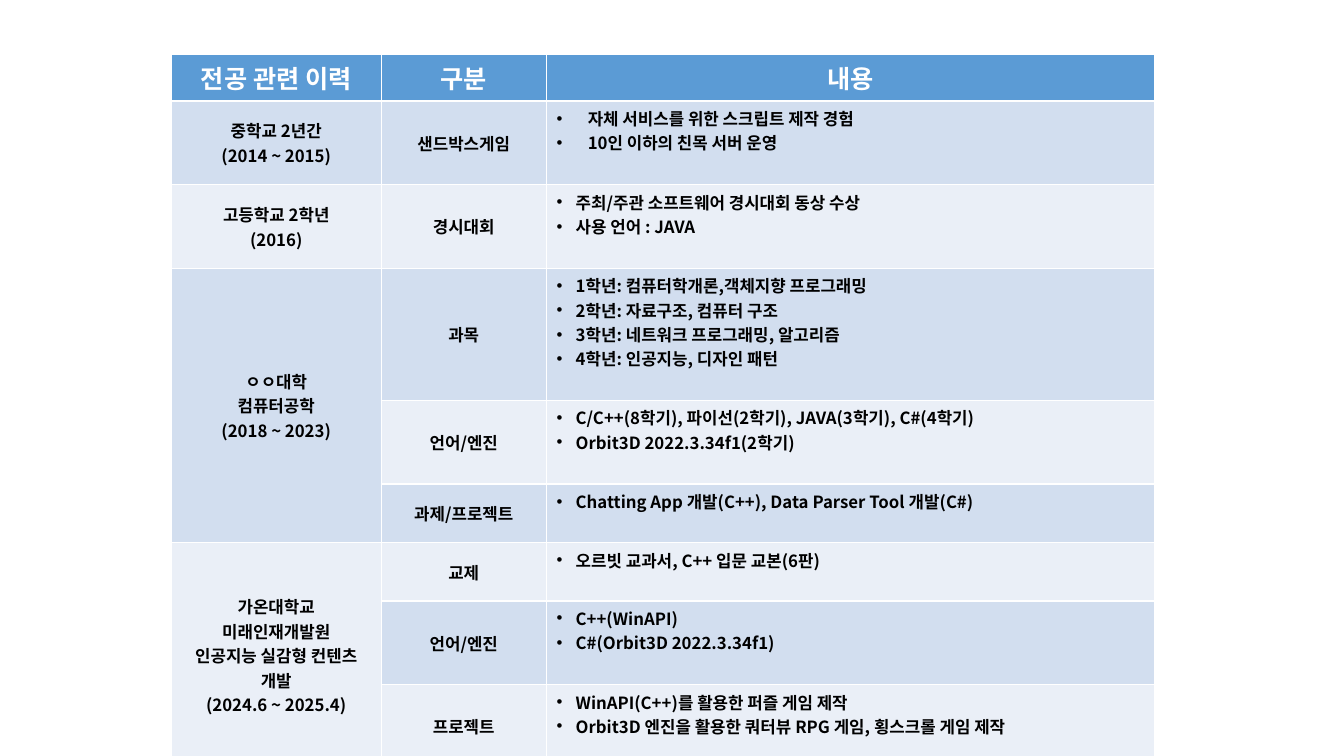
from lxml.etree import SubElement
from pptx import Presentation
from pptx.dml.color import RGBColor
from pptx.enum.text import MSO_ANCHOR as ANCHOR, PP_ALIGN as ALIGN
from pptx.oxml.ns import qn
from pptx.util import Inches, Pt

FONT = "Noto Sans CJK KR"
HEADER_FILL = "5B9BD5"
BAND_FILLS = ["D2DEEF", "EAEFF7"]
LEFT, TOP = 1.7, 0.54
COL_WIDTHS = [2.08, 1.64, 6.03]
HEADER_HEIGHT = 0.45
ROW_HEIGHTS = {1: 0.58, 2: 0.83, 4: 1.31}
WIDE_INDENT, INDENT = 0.31, 0.19

HEADERS = ["전공 관련 이력", "구분", "내용"]
CAREER = [
    (["중학교 2년간", "(2014 ~ 2015)"], [
        ("샌드박스게임", WIDE_INDENT,
         ["자체 서비스를 위한 스크립트 제작 경험", "10인 이하의 친목 서버 운영"]),
    ]),
    (["고등학교 2학년", "(2016)"], [
        ("경시대회", INDENT,
         ["주최/주관 소프트웨어 경시대회 동상 수상", "사용 언어 : JAVA"]),
    ]),
    (["ㅇㅇ대학", "컴퓨터공학", "(2018 ~ 2023)"], [
        ("과목", INDENT,
         ["1학년: 컴퓨터학개론,객체지향 프로그래밍",
          "2학년: 자료구조, 컴퓨터 구조",
          "3학년: 네트워크 프로그래밍, 알고리즘",
          "4학년: 인공지능, 디자인 패턴"]),
        ("언어/엔진", INDENT,
         ["C/C++(8학기), 파이선(2학기), JAVA(3학기), C#(4학기)",
          "Orbit3D 2022.3.34f1(2학기)"]),
        ("과제/프로젝트", INDENT,
         ["Chatting App 개발(C++), Data Parser Tool 개발(C#)"]),
    ]),
    (["가온대학교", "미래인재개발원", "인공지능 실감형 컨텐츠 개발", "(2024.6 ~ 2025.4)"], [
        ("교제", INDENT, ["오르빗 교과서, C++ 입문 교본(6판)"]),
        ("언어/엔진", INDENT, ["C++(WinAPI)", "C#(Orbit3D 2022.3.34f1)"]),
        ("프로젝트", INDENT,
         ["WinAPI(C++)를 활용한 퍼즐 게임 제작",
          "Orbit3D 엔진을 활용한 쿼터뷰 RPG 게임, 횡스크롤 게임 제작"]),
    ]),
]


def rgb(value):
    return RGBColor.from_string(value)


def fill_cell(cell, fill):
    cell.fill.solid()
    cell.fill.fore_color.rgb = rgb(fill)


def add_bullet(p, indent):
    pPr = p._p.get_or_add_pPr()
    pPr.set("marL", str(Inches(indent)))
    pPr.set("indent", str(-Inches(indent)))
    bullet_font = pPr.makeelement(qn("a:buFont"), {"typeface": "Arial"})
    bullet = pPr.makeelement(qn("a:buChar"), {"char": "•"})
    pPr.insert(0, bullet_font)
    bullet_font.addnext(bullet)


def write_cell(cell, lines, size=12, color="000000", anchor=ANCHOR.MIDDLE, indent=None):
    cell.vertical_anchor = anchor
    tf = cell.text_frame
    tf.text = "\n".join(lines)
    for p in tf.paragraphs:
        p.font.name = FONT
        p.font.size = Pt(size)
        p.font.bold = True
        p.font.color.rgb = rgb(color)
        SubElement(p._p.pPr.find(qn("a:defRPr")), qn("a:ea"), typeface=FONT)
        if indent is None:
            p.alignment = ALIGN.CENTER
        else:
            add_bullet(p, indent)


def main():
    prs = Presentation()
    prs.slide_width, prs.slide_height = Inches(13.33), Inches(7.5)
    s = prs.slides.add_slide(prs.slide_layouts[6])

    entries = [entry for _, group in CAREER for entry in group]
    heights = [HEADER_HEIGHT] + [ROW_HEIGHTS[len(lines)] for _, _, lines in entries]
    table = s.shapes.add_table(
        len(heights), len(COL_WIDTHS), Inches(LEFT), Inches(TOP),
        Inches(sum(COL_WIDTHS)), Inches(sum(heights))).table
    for column, width in zip(table.columns, COL_WIDTHS):
        column.width = Inches(width)
    for row, height in zip(table.rows, heights):
        row.height = Inches(height)

    for col, header in enumerate(HEADERS):
        cell = table.cell(0, col)
        fill_cell(cell, HEADER_FILL)
        write_cell(cell, [header], 18, "FFFFFF", ANCHOR.TOP)

    row = 1
    for period, group in CAREER:
        first = table.cell(row, 0)
        if len(group) > 1:
            first.merge(table.cell(row + len(group) - 1, 0))
        write_cell(first, period)
        fill_cell(first, BAND_FILLS[(row - 1) % 2])
        for category, indent, lines in group:
            for col in (1, 2):
                fill_cell(table.cell(row, col), BAND_FILLS[(row - 1) % 2])
            write_cell(table.cell(row, 1), [category])
            write_cell(table.cell(row, 2), lines, anchor=ANCHOR.TOP, indent=indent)
            row += 1

    prs.save("out.pptx")


if __name__ == "__main__":
    main()
